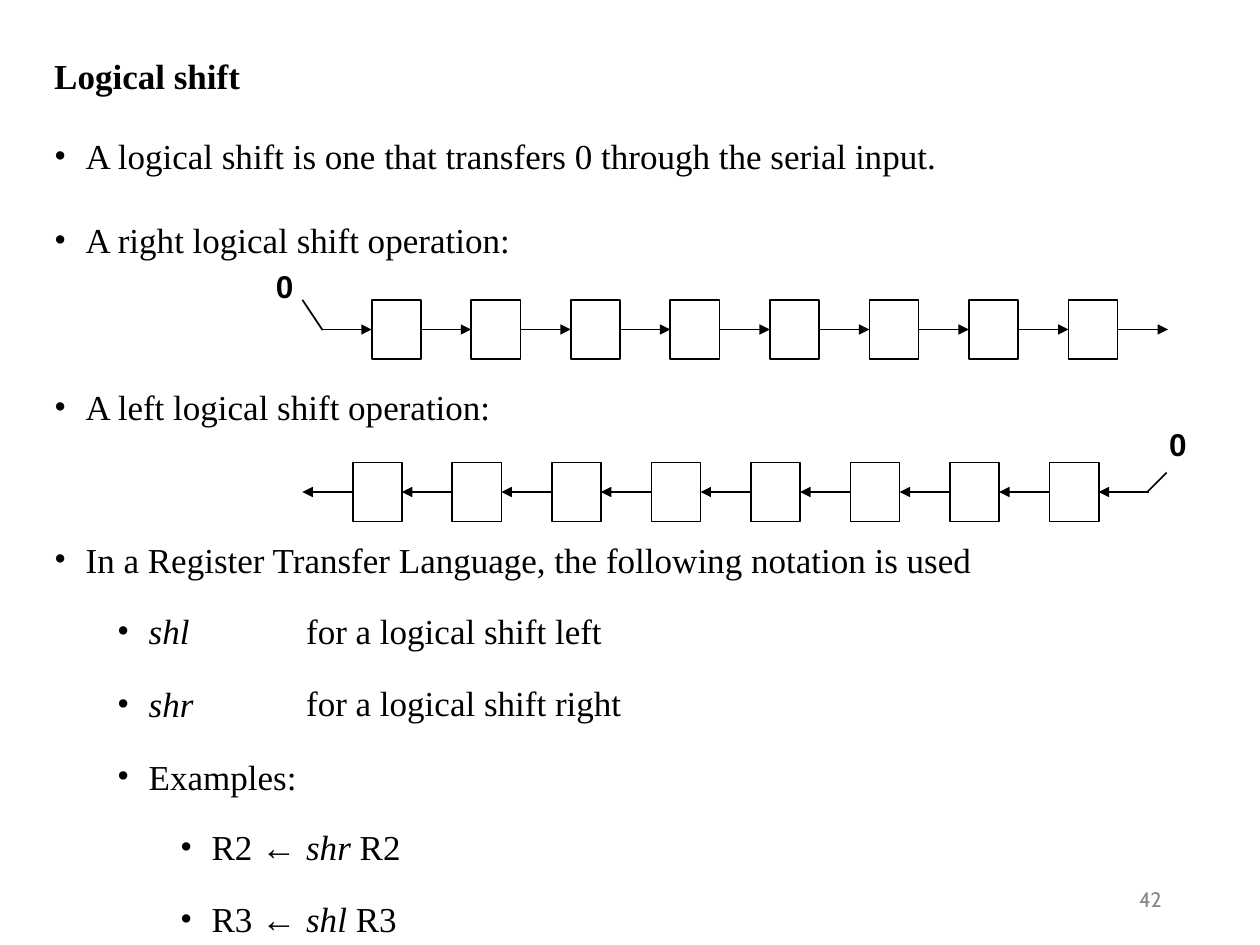
"""Build the slide on logical shift operations."""

import dataclasses
from typing import Any, NamedTuple

import lxml.etree
import pptx
import pptx.dml.color
import pptx.enum.shapes
import pptx.enum.text
import pptx.oxml.ns
import pptx.util

Inches = pptx.util.Inches
Pt = pptx.util.Pt
qn = pptx.oxml.ns.qn


@dataclasses.dataclass(frozen=True)
class Theme:
    """Fonts, colours and type sizes of the slide."""

    serif: str = "Times New Roman"
    sans: str = "Arial"
    footer: str = "Cabin"
    ink: str = "000000"
    muted: str = "888888"
    text: float = 20
    bit: float = 18
    number: float = 12
    line: float = 1


THEME = Theme()


class Span(NamedTuple):
    """A piece of text with one format."""

    text: str
    font: str = THEME.serif
    size: float = THEME.text
    bold: bool = False
    italic: bool = False
    color: str = THEME.ink


class Para(NamedTuple):
    """A paragraph with its gap above, indent and bullet."""

    spans: list[Span]
    gap: float = 0
    bullet: bool = False
    indent: float = 0.01


class Block(NamedTuple):
    """A text area with its place in inches."""

    place: tuple[float, float, float, float]
    paras: list[Para]


class Register(NamedTuple):
    """A row of bit cells and the line that feeds in the zero."""

    left: float
    top: float
    to_right: bool
    feed: tuple[float, float, float, float]


CELLS, PITCH, CELL_WIDTH, CELL_HEIGHT = 8, 0.79, 0.39, 0.47
ZERO = Span("0", font=THEME.sans, size=THEME.bit, bold=True)


def item(*spans: Span, gap: float = 0) -> Para:
    """Return a bulleted paragraph."""
    return Para(list(spans), gap, True, 0.26)


def example(register: str, operation: str, gap: float = 0) -> Para:
    """Return one register transfer statement."""
    return item(Span(f"{register} "), Span("← ", font=THEME.sans),
                Span(f"{operation} ", italic=True), Span(register), gap=gap)


TITLE = Block((0.42, 0.43, 1.6, 0.36), [Para([Span("Logical shift", bold=True)])])
BODY = Block((0.42, 1.07, 7.2, 2.28), [
    item(Span("A logical shift is one that transfers 0 through the serial input.")),
    item(Span("A right logical shift operation:"), gap=23.9),
    Para([ZERO], 3.8, False, 1.77),
    item(Span("A left logical shift operation:"), gap=46),
])
BLOCKS = [
    Block((0.42, 4.27, 7.5, 0.36), [
        item(Span("In a Register Transfer Language, the following notation is used"))]),
    Block((0.92, 4.84, 1.45, 1.5), [
        item(Span("shl", italic=True)),
        item(Span("shr", italic=True), gap=17.5),
        item(Span("Examples:"), gap=17.5)]),
    Block((2.42, 4.84, 2.5, 0.36), [Para([Span("for a logical shift left")])]),
    Block((2.42, 5.41, 2.6, 0.36), [Para([Span("for a logical shift right")])]),
    Block((1.42, 6.55, 1.76, 0.93), [example("R2", "shr"), example("R3", "shl", 17.5)]),
    Block((9.27, 3.37, 0.17, 0.33), [Para([ZERO])]),
    Block((9.03, 7.04, 0.22, 0.23), [
        Para([Span("42", THEME.footer, THEME.number, color=THEME.muted)])]),
]
REGISTERS = [
    Register(2.95, 2.38, True, (2.4, 2.38, 2.56, 2.62)),
    Register(2.8, 3.67, False, (9.26, 3.75, 9.1, 3.91)),
]


def rgb(value: str) -> pptx.dml.color.RGBColor:
    """Return a colour object for a hex value."""
    return pptx.dml.color.RGBColor.from_string(value)


def apply(target: Any, values: dict[str, Any]) -> None:
    """Set every named attribute on the target."""
    for name, value in values.items():
        setattr(target, name, value)


def write_para(para: Any, data: Para) -> None:
    """Fill a paragraph with its layout, bullet and spans."""
    apply(para, {"alignment": pptx.enum.text.PP_ALIGN.LEFT,
                 "space_before": Pt(data.gap), "line_spacing": 1.0})
    properties = para._p.get_or_add_pPr()
    properties.set("marL", str(Inches(data.indent)))
    properties.set("indent", str(Inches(-0.25 if data.bullet else 0)))
    if data.bullet:
        lxml.etree.SubElement(properties, qn("a:buFont"), typeface=THEME.serif)
        lxml.etree.SubElement(properties, qn("a:buChar"), char="•")
    else:
        lxml.etree.SubElement(properties, qn("a:buNone"))
    for span in data.spans:
        run = para.add_run()
        run.text = span.text
        apply(run.font, {"name": span.font, "size": Pt(span.size),
                         "bold": span.bold, "italic": span.italic})
        run.font.color.rgb = rgb(span.color)


def write_block(box: Any, block: Block) -> None:
    """Place a text shape and write its paragraphs."""
    apply(box, dict(zip(("left", "top", "width", "height"), map(Inches, block.place))))
    frame = box.text_frame
    apply(frame, {"margin_left": 0, "margin_top": 0, "margin_right": 0,
                  "margin_bottom": 0, "word_wrap": True,
                  "auto_size": pptx.enum.text.MSO_AUTO_SIZE.NONE,
                  "vertical_anchor": pptx.enum.text.MSO_ANCHOR.TOP})
    for index, data in enumerate(block.paras):
        write_para(frame.add_paragraph() if index else frame.paragraphs[0], data)


def draw_line(page: Any, ends: tuple[float, float, float, float], arrow: bool) -> None:
    """Draw a straight line, with an arrowhead at its end if asked."""
    line = page.shapes.add_connector(
        pptx.enum.shapes.MSO_CONNECTOR.STRAIGHT, *map(Inches, ends))
    line.line.width = Pt(THEME.line)
    line.line.color.rgb = rgb(THEME.ink)
    if arrow:
        lxml.etree.SubElement(line.line._get_or_add_ln(), qn("a:tailEnd"), type="triangle")
    lxml.etree.SubElement(line._element.spPr, qn("a:effectLst"))


def draw_register(page: Any, register: Register) -> None:
    """Draw the cells of a register, the arrows between them and the feed."""
    for index in range(CELLS):
        cell = page.shapes.add_shape(
            pptx.enum.shapes.MSO_SHAPE.RECTANGLE,
            Inches(register.left + index * PITCH), Inches(register.top),
            Inches(CELL_WIDTH), Inches(CELL_HEIGHT))
        cell.shadow.inherit = False
        cell.fill.background()
        cell.line.width = Pt(THEME.line)
        cell.line.color.rgb = rgb(THEME.ink)
    middle = register.top + CELL_HEIGHT / 2
    for index in range(CELLS + 1):
        end = register.left + index * PITCH
        start = end - PITCH + CELL_WIDTH
        first, last = (start, end) if register.to_right else (end, start)
        draw_line(page, (first, middle, last, middle), True)
    draw_line(page, register.feed, False)


def main() -> None:
    """Build and save the deck."""
    deck = pptx.Presentation()
    apply(deck, {"slide_width": Inches(10), "slide_height": Inches(7.5)})
    page = deck.slides.add_slide(deck.slide_layouts[1])
    write_block(page.shapes.title, TITLE)
    write_block(page.placeholders[1], BODY)
    for block in BLOCKS:
        write_block(page.shapes.add_textbox(0, 0, 0, 0), block)
    for register in REGISTERS:
        draw_register(page, register)
    deck.save("out.pptx")


if __name__ == "__main__":
    main()
